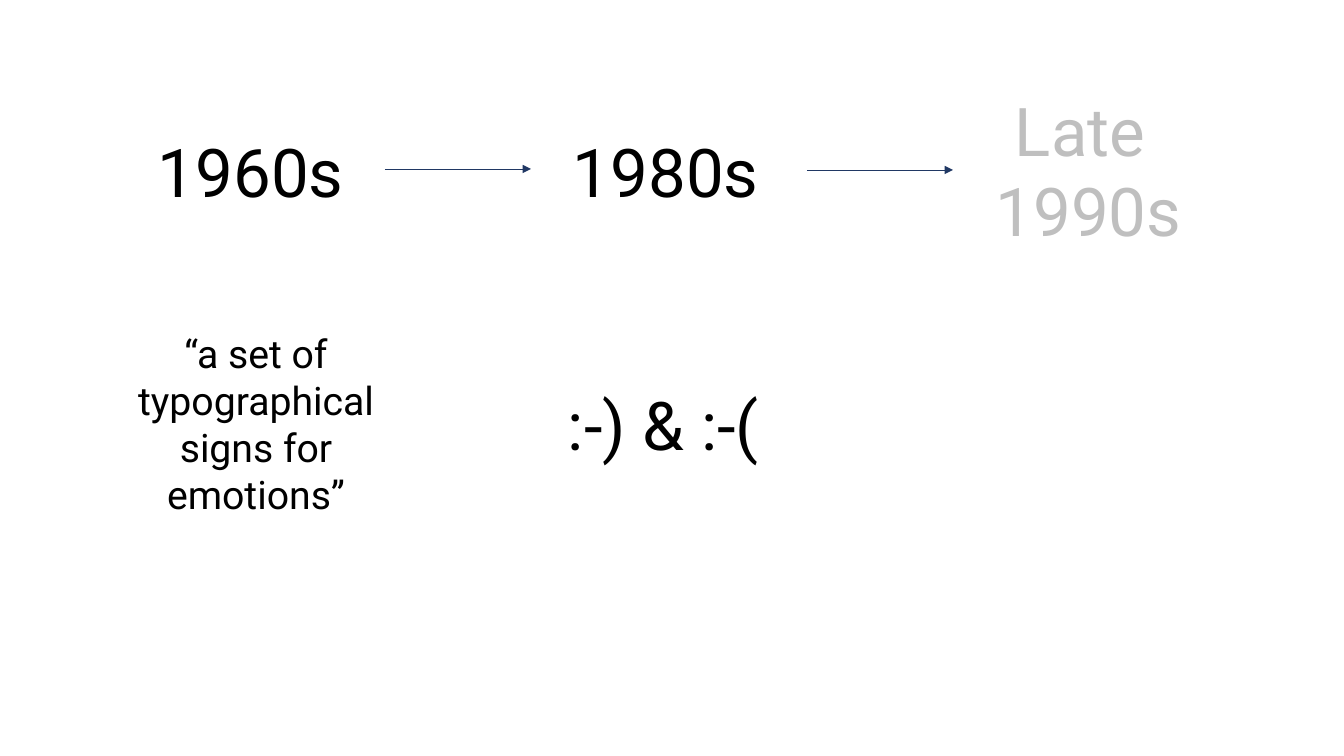
from lxml.etree import SubElement
from pptx import Presentation
from pptx.dml.color import RGBColor
from pptx.enum.shapes import MSO_CONNECTOR
from pptx.enum.text import MSO_AUTO_SIZE, PP_ALIGN
from pptx.oxml.ns import qn
from pptx.util import Emu, Pt

EMU_PER_PX = 914400 / 100.8
FONT = "Roboto"
BLACK = RGBColor(0x00, 0x00, 0x00)
GREY = RGBColor(0xBF, 0xBF, 0xBF)
NAVY = RGBColor(0x20, 0x38, 0x64)


def px(length):
    return Emu(round(length * EMU_PER_PX))


def add_text(slide, box, lines, size=48, color=BLACK, align=PP_ALIGN.LEFT):
    shape = slide.shapes.add_textbox(*map(px, box))
    frame = shape.text_frame
    frame.word_wrap = True
    frame.auto_size = MSO_AUTO_SIZE.SHAPE_TO_FIT_TEXT
    frame.text = "\n".join(lines)
    for paragraph in frame.paragraphs:
        paragraph.alignment = align
        paragraph.font.name = FONT
        paragraph.font.size = Pt(size)
        paragraph.font.color.rgb = color


def add_arrow(slide, left, top, width):
    arrow = slide.shapes.add_connector(
        MSO_CONNECTOR.STRAIGHT, px(left), px(top), px(left + width), px(top))
    arrow.line.color.rgb = NAVY
    arrow.line.width = Pt(0.5)
    SubElement(arrow.line._get_or_add_ln(), qn("a:tailEnd"), type="triangle")
    SubElement(arrow._element.spPr, qn("a:effectLst"))


def add_timeline(slide, left, top):
    add_text(slide, (left, top + 41, 215, 92), ["1960s"])
    add_text(slide, (left + 415, top + 41, 206, 92), ["1980s"])
    add_text(slide, (left + 833, top, 215, 173), ["Late ", "1990s"],
             color=GREY, align=PP_ALIGN.CENTER)
    add_arrow(slide, left + 237, top + 85, 146)
    add_arrow(slide, left + 659, top + 86, 146)


def add_examples(slide, left, top):
    add_text(slide, (left, top, 268, 201),
             ["“a set of typographical signs for emotions”"],
             size=28, align=PP_ALIGN.CENTER)
    add_text(slide, (left + 436, top + 54, 215, 92), [":-) & :-("])


def main():
    presentation = Presentation()
    presentation.slide_width = px(1344)
    presentation.slide_height = px(756)
    slide = presentation.slides.add_slide(presentation.slide_layouts[6])
    add_timeline(slide, 148, 84)
    add_examples(slide, 122, 324)
    presentation.save("out.pptx")


if __name__ == "__main__":
    main()
